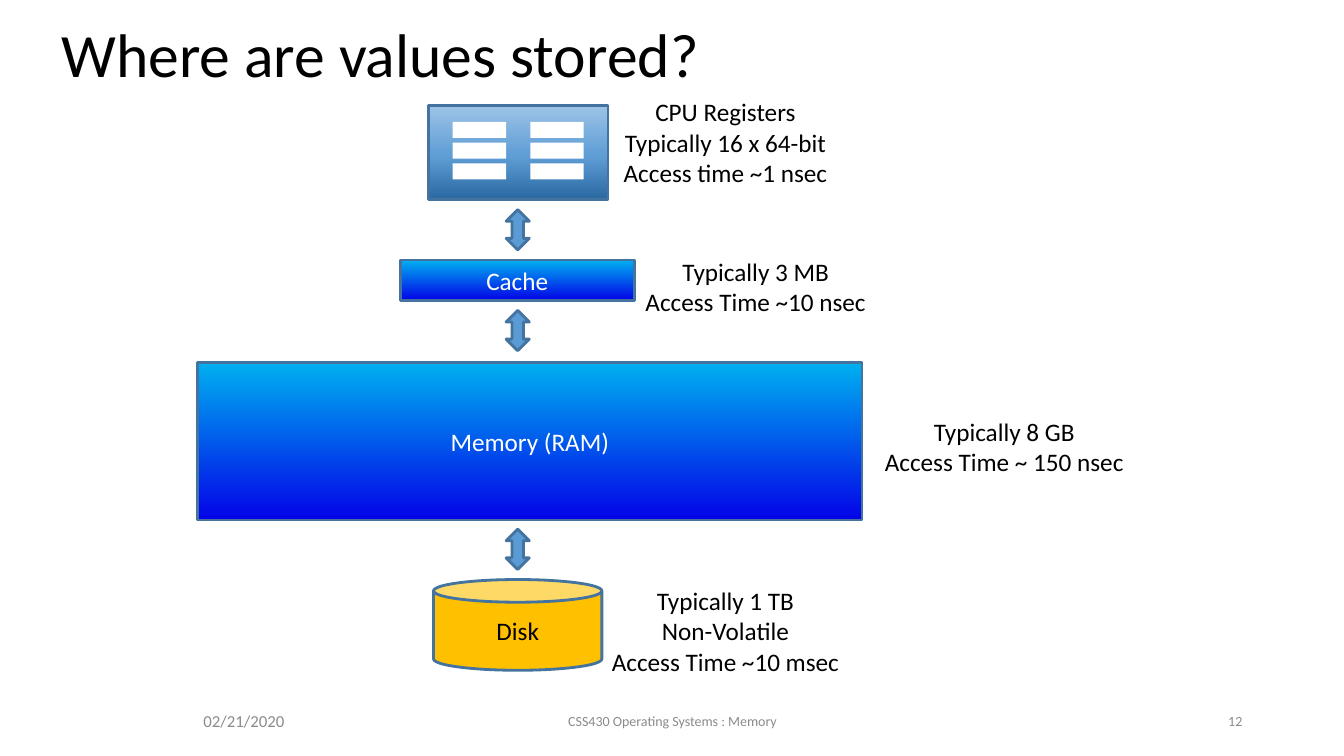
from lxml.etree import SubElement
from pptx import Presentation
from pptx.dml.color import RGBColor
from pptx.enum.shapes import MSO_SHAPE as SHAPE
from pptx.enum.text import MSO_ANCHOR as ANCHOR, PP_ALIGN as ALIGN
from pptx.oxml.ns import qn
from pptx.util import Inches, Pt

BLACK, WHITE, GREY = "000000", "FFFFFF", "8B8B8B"
BLUE, OUTLINE, YELLOW = "5B9BD5", "43739E", "FFC000"
STORE_GRADIENT = [(0, "00B0F0"), (100, "0303E7")]
CPU_GRADIENT = [(0, "9DC3E6"), (52, "609ED6"), (100, "2A69A2")]


def rgb(color):
    return RGBColor.from_string(color)


class Deck:
    font = "Calibri"

    def __init__(self, slide):
        self.slide = slide

    def add_lines(self, sp, lines, size, color, align, anchor, spacing=None):
        tf = sp.text_frame
        tf.word_wrap = True
        tf.vertical_anchor = anchor
        for i, line in enumerate(lines):
            p = tf.paragraphs[0] if i == 0 else tf.add_paragraph()
            p.alignment = align
            if spacing:
                p.line_spacing = spacing
            r = p.add_run()
            r.text = line
            r.font.name = self.font
            r.font.size = Pt(size)
            r.font.color.rgb = rgb(color)

    def text(self, box, lines, size=18, color=BLACK, align=ALIGN.CENTER,
             anchor=ANCHOR.TOP, spacing=None):
        sp = self.slide.shapes.add_textbox(*map(Inches, box))
        self.add_lines(sp, lines, size, color, align, anchor, spacing)

    def shape(self, kind, box, fill, line=OUTLINE, label=None, color=WHITE):
        """Add a preset shape; fill is a colour or a list of top-down stops."""
        sp = self.slide.shapes.add_shape(kind, *map(Inches, box))
        sp.shadow.inherit = False
        if isinstance(fill, str):
            sp.fill.solid()
            sp.fill.fore_color.rgb = rgb(fill)
        else:
            self.gradient(sp, fill)
        if line:
            sp.line.color.rgb = rgb(line)
            sp.line.width = Pt(2)
        else:
            sp.line.fill.background()
        if label:
            self.add_lines(sp, [label], 18, color, ALIGN.CENTER, ANCHOR.MIDDLE)

    def gradient(self, sp, stops):
        sp.fill.gradient()
        sp.fill.gradient_angle = 270
        stop_list = next(sp._element.spPr.iter(qn("a:gsLst")))
        for old in list(stop_list):
            stop_list.remove(old)
        for pos, color in stops:
            gs = SubElement(stop_list, qn("a:gs"), pos=str(pos * 1000))
            SubElement(gs, qn("a:srgbClr"), val=color)


def main():
    prs = Presentation()
    prs.slide_width, prs.slide_height = Inches(13.33), Inches(7.5)
    s = prs.slides.add_slide(prs.slide_layouts[6])
    deck = Deck(s)

    deck.text((0.51, 0.26, 9.5, 0.62), ["Where are values stored?"], 44,
              align=ALIGN.LEFT, anchor=ANCHOR.MIDDLE, spacing=0.9)

    footers = [
        (0.92, 3, "02/21/2020", 12, ALIGN.CENTER),
        (4.42, 4.5, "CSS430 Operating Systems : Memory", 10, ALIGN.CENTER),
        (9.42, 3, "12", 10, ALIGN.RIGHT),
    ]
    for left, width, line, size, align in footers:
        deck.text((left, 6.95, width, 0.4), [line], size, GREY, align,
                  ANCHOR.MIDDLE)

    deck.shape(SHAPE.RECTANGLE, (4.25, 1.05, 1.78, 0.93), CPU_GRADIENT)
    for left in (4.49, 5.26):
        for row in range(3):
            deck.shape(SHAPE.RECTANGLE, (left, 1.21 + row * 0.205, 0.53, 0.16),
                       WHITE, line=None)

    deck.shape(SHAPE.RECTANGLE, (3.97, 2.58, 2.32, 0.4), STORE_GRADIENT,
               label="Cache")
    deck.shape(SHAPE.RECTANGLE, (1.96, 3.6, 6.59, 1.56), STORE_GRADIENT,
               label="Memory (RAM)")
    deck.shape(SHAPE.CAN, (4.3, 5.75, 1.67, 0.9), YELLOW, label="Disk",
               color=BLACK)
    for top in (2.08, 3.08, 5.25):
        deck.shape(SHAPE.UP_DOWN_ARROW, (5.02, top, 0.23, 0.4), BLUE)

    captions = [
        ((5.84, 0.91, 2.71, 1.3),
         ["CPU Registers", "Typically 16 x 64-bit", "Access time ~1 nsec"]),
        ((6.3, 2.49, 2.39, 1), ["Typically 3 MB", "Access Time ~10 nsec"]),
        ((8.55, 4.08, 2.82, 1), ["Typically 8 GB", "Access Time ~ 150 nsec"]),
        ((5.74, 5.76, 2.91, 1.3),
         ["Typically 1 TB", "Non-Volatile", "Access Time ~10 msec"]),
    ]
    for box, lines in captions:
        deck.text(box, lines)

    prs.save("out.pptx")


if __name__ == "__main__":
    main()
